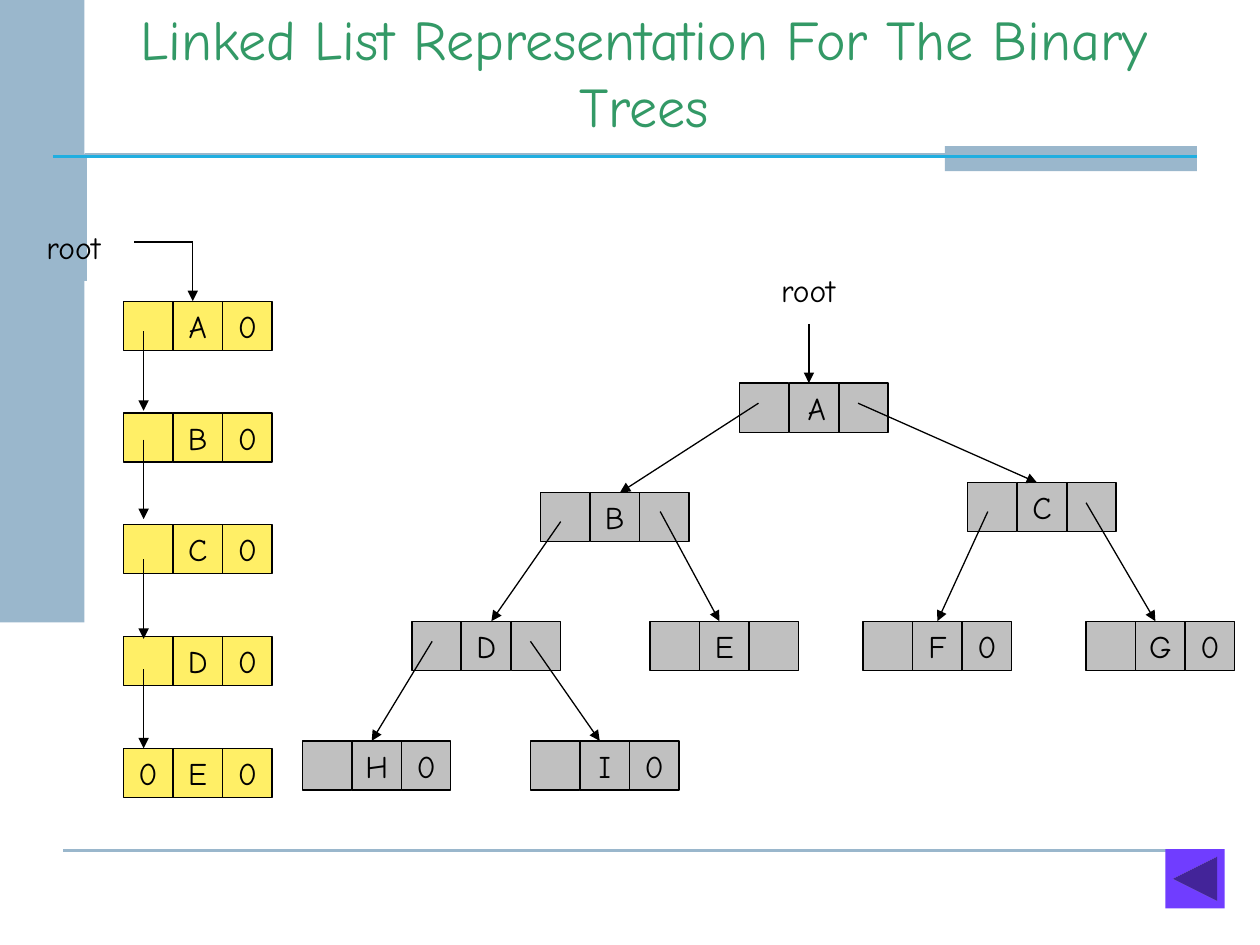
from pptx import Presentation
from pptx.dml.color import RGBColor
from pptx.enum import shapes, text
from pptx.oxml.ns import qn
from pptx.util import Inches, Pt
from lxml import etree

FONT = "Comic Neue"
BLACK, YELLOW, GREY, BLUE = "000000", "FFEF66", "C0C0C0", "9AB7CC"
CELL, PITCH = 0.39, 0.394
TITLE = "Linked List Representation For The Binary Trees"

CHAIN = [("", "A", "0"), ("", "B", "0"), ("", "C", "0"), ("", "D", "0"), ("0", "E", "0")]
CHAIN_LEFT, CHAIN_TOP, CHAIN_STEP = 0.98, 2.39, 0.887
CHAIN_ARROW_TOPS, CHAIN_ARROW_LENGTH = [2.63, 3.49, 4.44, 5.31], 0.63

TREE = [
    (5.87, 3.04, ("", "A", "")),
    (4.29, 3.91, ("", "B", "")),
    (7.68, 3.83, ("", "C", "")),
    (3.27, 4.93, ("", "D", "")),
    (5.16, 4.93, ("", "E", "")),
    (2.4, 5.88, ("", "H", "0")),
    (4.21, 5.88, ("", "I", "0")),
    (6.85, 4.93, ("", "F", "0")),
    (8.62, 4.93, ("", "G", "0")),
]
TREE_ARROWS = [
    (6.42, 2.57, 6.42, 3.04),
    (6.02, 3.2, 4.92, 3.91),
    (6.81, 3.2, 8.23, 3.83),
    (4.45, 4.14, 3.9, 4.93),
    (3.43, 5.09, 2.95, 5.88),
    (4.21, 5.09, 4.76, 5.88),
    (5.24, 4.06, 5.71, 4.93),
    (7.84, 4.06, 7.44, 4.93),
    (8.62, 3.99, 9.17, 4.93),
]
ROOT_LABELS = [(0.27, 1.76), (6.1, 2.1)]

prs = Presentation()
prs.slide_width, prs.slide_height = Inches(10), Inches(7.5)
s = prs.slides.add_slide(prs.slide_layouts[6])


def color(value):
    return RGBColor.from_string(value)


def add_box(left, top, width, height, fill, outline=None, kind=shapes.MSO_SHAPE.RECTANGLE):
    sp = s.shapes.add_shape(kind, Inches(left), Inches(top), Inches(width), Inches(height))
    sp.shadow.inherit = False
    sp.fill.solid()
    sp.fill.fore_color.rgb = color(fill)
    if outline:
        sp.line.color.rgb = color(outline)
        sp.line.width = Pt(0.75)
    else:
        sp.line.fill.background()
    return sp


def write(sp, words, size=18, ink=BLACK, align=text.PP_ALIGN.CENTER,
          anchor=text.MSO_ANCHOR.MIDDLE, wrap=False):
    tf = sp.text_frame
    tf.word_wrap = wrap
    tf.vertical_anchor = anchor
    p = tf.paragraphs[0]
    p.alignment = align
    r = p.add_run()
    r.text = words
    r.font.name, r.font.size = FONT, Pt(size)
    r.font.color.rgb = color(ink)


def add_text(left, top, width, height, words, **style):
    sp = s.shapes.add_textbox(Inches(left), Inches(top), Inches(width), Inches(height))
    write(sp, words, **style)


def add_line(x1, y1, x2, y2, ink=BLACK, width=0.75, arrow=False):
    sp = s.shapes.add_connector(shapes.MSO_CONNECTOR.STRAIGHT,
                                Inches(x1), Inches(y1), Inches(x2), Inches(y2))
    sp.line.color.rgb = color(ink)
    sp.line.width = Pt(width)
    if arrow:
        etree.SubElement(sp.line._get_or_add_ln(), qn("a:tailEnd"), type="triangle")
    etree.SubElement(sp._element.spPr, qn("a:effectLst"))


def add_node(left, top, fields, fill):
    for i, field in enumerate(fields):
        cell = add_box(left + i * PITCH, top, CELL, CELL, fill, BLACK)
        if field:
            tree_root = fill == GREY and field == "A"
            write(cell, field, align=text.PP_ALIGN.RIGHT if tree_root else text.PP_ALIGN.CENTER)


def add_frame():
    fb = s.shapes.build_freeform(Inches(0.68), Inches(2.23))
    fb.add_line_segments([(Inches(0.68), Inches(1.23)), (Inches(9.35), Inches(1.23))], close=False)
    sp = fb.convert_to_shape()
    sp.shadow.inherit = False
    sp.fill.background()
    sp.line.color.rgb = color(BLUE)
    sp.line.width = Pt(2)
    add_line(0.5, 6.75, 9.5, 6.75, BLUE, 1.5)
    add_box(0, 0, 0.67, 4.94, BLUE)
    add_box(7.5, 1.16, 2, 0.2, BLUE)
    add_line(0.42, 1.24, 9.5, 1.24, "20AEE0", 1.5)


add_frame()
add_text(0.75, 0.38, 8.73, 0.77, TITLE, size=32, ink="339966",
         anchor=text.MSO_ANCHOR.BOTTOM, wrap=True)

for i, fields in enumerate(CHAIN):
    add_node(CHAIN_LEFT, CHAIN_TOP + i * CHAIN_STEP, fields, YELLOW)
for top in CHAIN_ARROW_TOPS:
    add_line(1.14, top, 1.14, top + CHAIN_ARROW_LENGTH, arrow=True)
add_line(1.53, 1.92, 1.53, 2.39, arrow=True)
add_line(1.53, 1.92, 1.06, 1.92)

for left, top, fields in TREE:
    add_node(left, top, fields, GREY)
for ends in TREE_ARROWS:
    add_line(*ends, arrow=True)
for left, top in ROOT_LABELS:
    add_text(left, top, 0.75, 0.4, "root", align=text.PP_ALIGN.LEFT,
             anchor=text.MSO_ANCHOR.TOP, wrap=True)

add_box(9.25, 6.74, 0.47, 0.47, "703DFF", kind=shapes.MSO_SHAPE.ACTION_BUTTON_BACK_OR_PREVIOUS)

prs.save("out.pptx")
